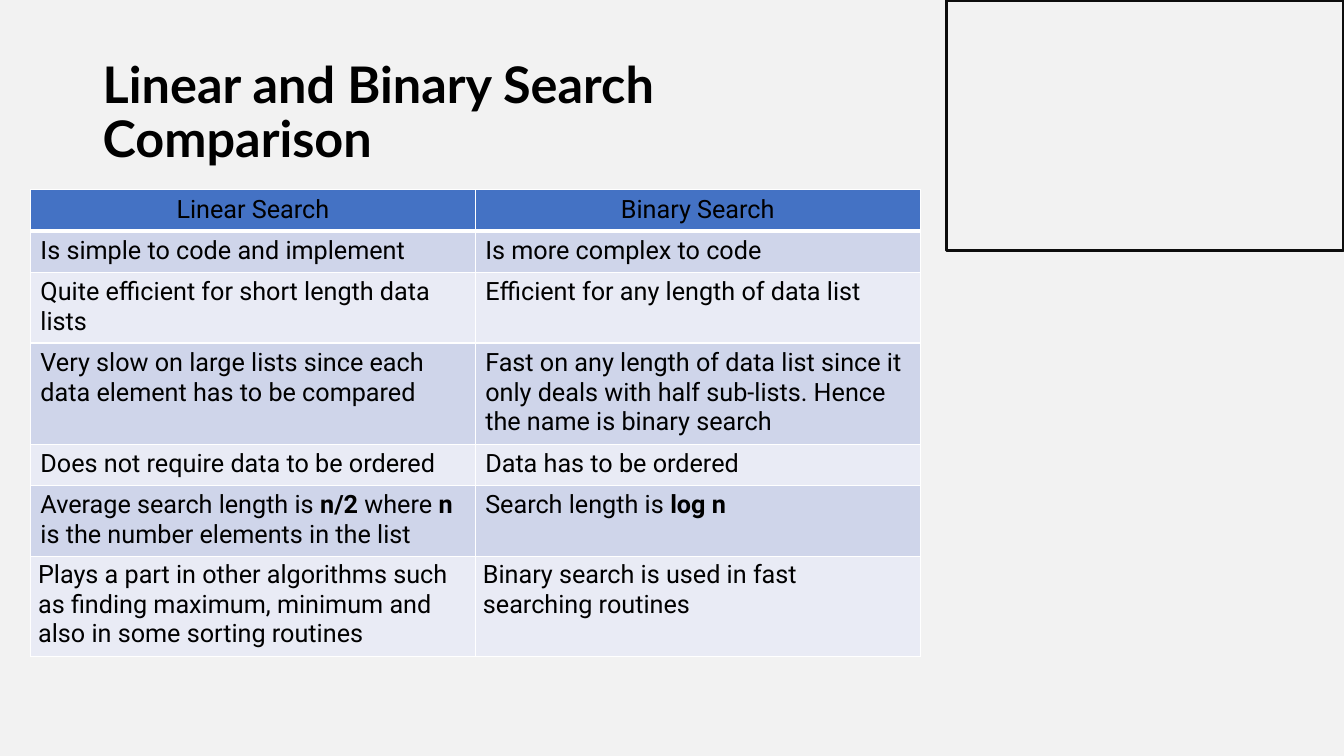
"""Build the slide comparing linear and binary search."""
from dataclasses import dataclass

from lxml import etree
from pptx import Presentation
from pptx.dml.color import RGBColor
from pptx.enum.shapes import MSO_SHAPE
from pptx.enum.text import MSO_ANCHOR, PP_ALIGN
from pptx.oxml.ns import qn
from pptx.util import Cm, Pt

RECT = MSO_SHAPE.RECTANGLE
MIDDLE = MSO_ANCHOR.MIDDLE
CENTER, LEFT = PP_ALIGN.CENTER, PP_ALIGN.LEFT

BACKGROUND = RGBColor(0xF2, 0xF2, 0xF2)
FRAME = RGBColor(0x0D, 0x0D, 0x0D)
BLACK = RGBColor(0x00, 0x00, 0x00)
WHITE = RGBColor(0xFF, 0xFF, 0xFF)
HEADER = RGBColor(0x44, 0x72, 0xC4)
BANDS = (RGBColor(0xE9, 0xEB, 0xF5), RGBColor(0xCF, 0xD5, 0xEA))

TITLE_FONT = "Lato"
TABLE_FONT = "Roboto"
LINE_HEIGHT = 0.74
ROW_PADDING = 0.3


@dataclass
class Run:
    text: str
    bold: bool = False


@dataclass
class Row:
    linear: list[Run]
    binary: list[Run]
    lines: int = 1
    margin_x: float = 0.25
    margin_y: float = 0.13


ROWS = [
    Row([Run("Linear Search")], [Run("Binary Search")]),
    Row([Run("Is simple to code and implement")], [Run("Is more complex to code")]),
    Row([Run("Quite efficient for short length data lists")],
        [Run("Efficient for any length of data list")], 2),
    Row([Run("Very slow on large lists since each data element has to be compared")],
        [Run("Fast on any length of data list since it only deals with half sub-lists. "
             "Hence the name is binary search")], 3),
    Row([Run("Does not require data to be ordered")], [Run("Data has to be ordered")]),
    Row([Run("Average search length is "), Run("n/2", True), Run(" where "),
         Run("n", True), Run(" is the number elements in the list")],
        [Run("Search length is "), Run("log n", True)], 2),
    Row([Run("Plays a part in other algorithms such as finding maximum, minimum "
             "and also in some sorting routines")],
        [Run("Binary search is used in fast searching routines")], 3, 0.19, 0.1),
]


def add_runs(p, runs: list[Run], font: str, size: int) -> None:
    for run in runs:
        r = p.add_run()
        r.text = run.text
        r.font.name = font
        r.font.size = Pt(size)
        r.font.bold = run.bold
        r.font.color.rgb = BLACK


def set_borders(cell, bottom: int) -> None:
    tc_pr = cell._tc.get_or_add_tcPr()
    widths = {"lnL": 1, "lnR": 1, "lnT": 1, "lnB": bottom}
    for i, (side, width) in enumerate(widths.items()):
        ln = etree.Element(qn(f"a:{side}"), w=str(Pt(width)))
        fill = etree.SubElement(ln, qn("a:solidFill"))
        etree.SubElement(fill, qn("a:srgbClr"), val=str(WHITE))
        tc_pr.insert(i, ln)


def add_frame(s) -> None:
    sp = s.shapes.add_shape(RECT, Cm(23.85), Cm(0), Cm(10.01), Cm(6.32))
    sp.shadow.inherit = False
    sp.fill.background()
    sp.line.color.rgb = FRAME
    sp.line.width = Pt(2.25)


def add_title(s) -> None:
    sp = s.shapes.add_textbox(Cm(2.34), Cm(1.52), Cm(21.26), Cm(2.72))
    tf = sp.text_frame
    tf.word_wrap = True
    tf.vertical_anchor = MIDDLE
    p = tf.paragraphs[0]
    p.line_spacing = 0.9
    add_runs(p, [Run("Linear and Binary Search Comparison", True)], TITLE_FONT, 36)


def add_comparison(s) -> None:
    heights = [Cm(ROW_PADDING + LINE_HEIGHT * row.lines) for row in ROWS]
    table = s.shapes.add_table(len(ROWS), 2, Cm(0.77), Cm(4.78),
                               Cm(22.42), sum(heights)).table
    for i, row in enumerate(ROWS):
        table.rows[i].height = heights[i]
        is_header = i == 0
        for j, runs in enumerate((row.linear, row.binary)):
            cell = table.cell(i, j)
            cell.margin_left = cell.margin_right = Cm(row.margin_x)
            cell.margin_top = cell.margin_bottom = Cm(row.margin_y)
            cell.fill.solid()
            cell.fill.fore_color.rgb = HEADER if is_header else BANDS[i % 2]
            set_borders(cell, 3 if is_header else 1)
            p = cell.text_frame.paragraphs[0]
            p.alignment = CENTER if is_header else LEFT
            add_runs(p, runs, TABLE_FONT, 18)


def main() -> None:
    prs = Presentation()
    prs.slide_width, prs.slide_height = Cm(33.87), Cm(19.05)
    s = prs.slides.add_slide(prs.slide_layouts[6])
    s.background.fill.solid()
    s.background.fill.fore_color.rgb = BACKGROUND
    add_frame(s)
    add_title(s)
    add_comparison(s)
    prs.save("out.pptx")


if __name__ == "__main__":
    main()
